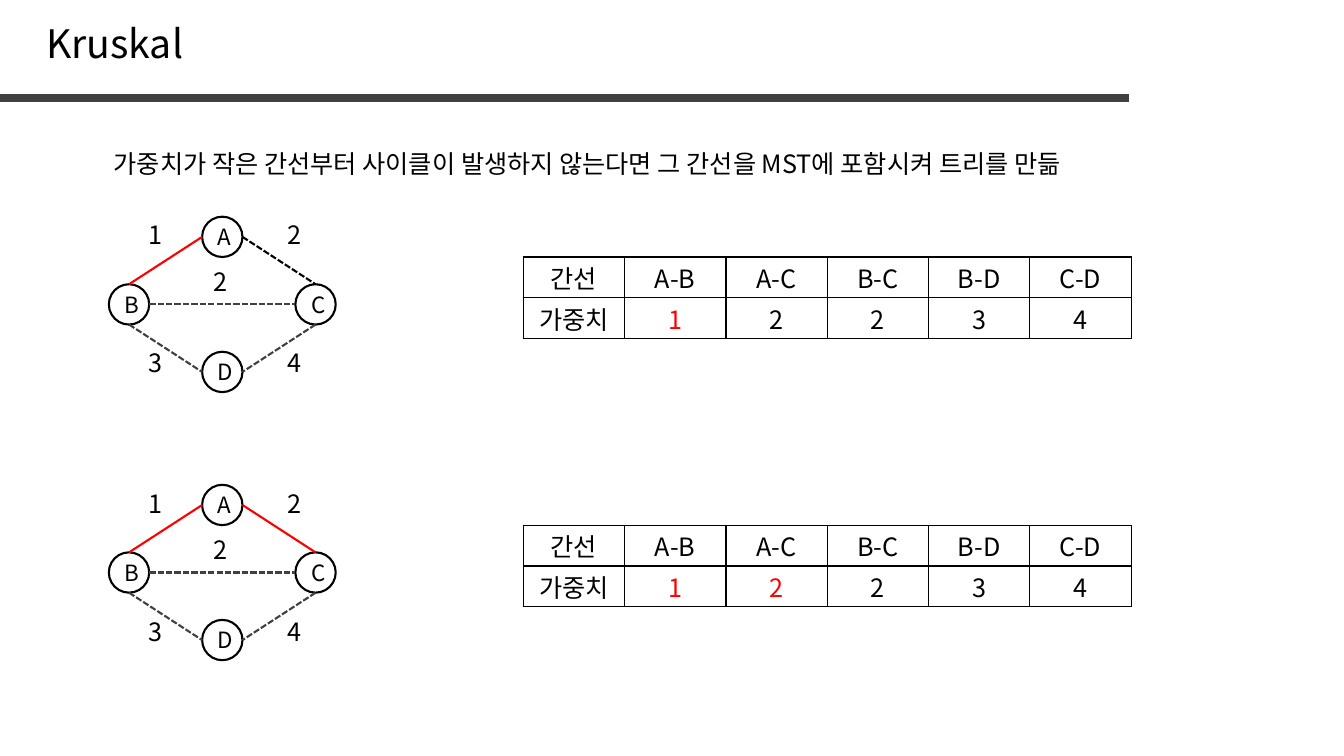
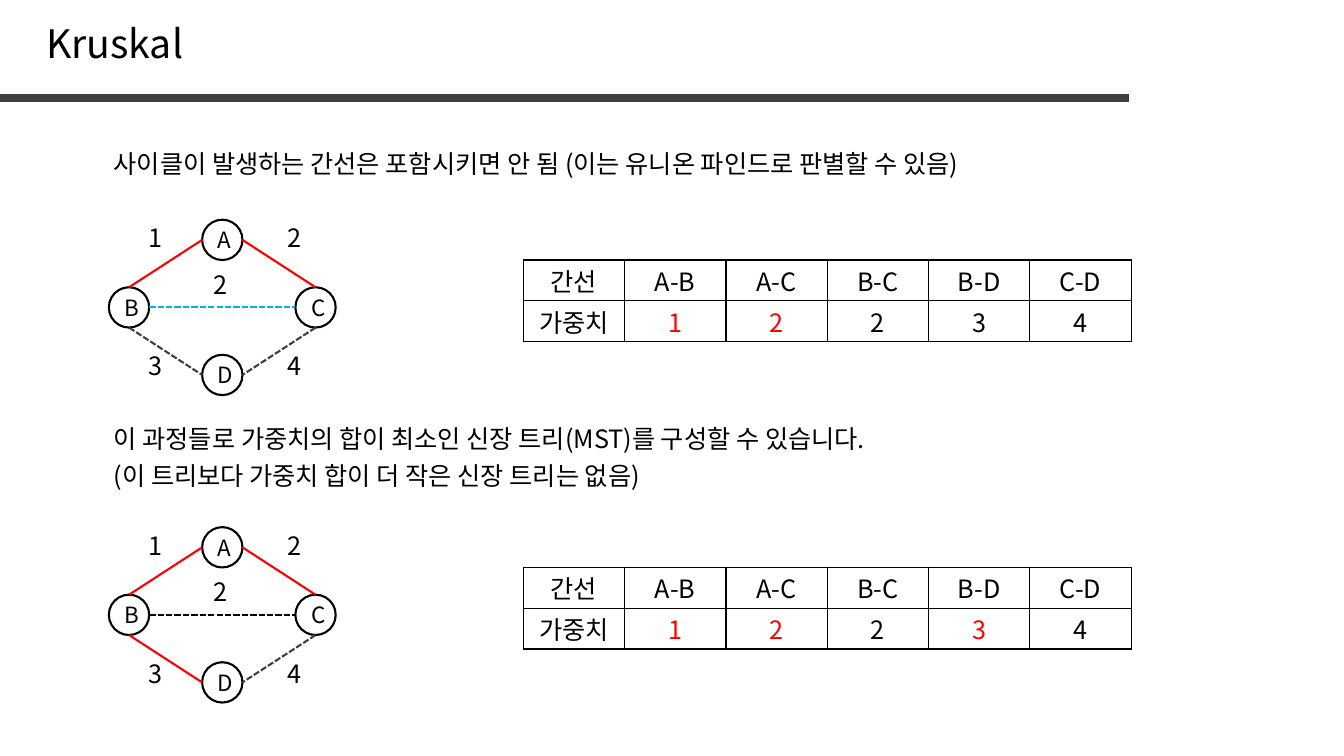
from lxml import etree
from pptx import Presentation
from pptx.dml.color import RGBColor
from pptx.enum.dml import MSO_LINE
from pptx.enum.shapes import MSO_CONNECTOR, MSO_SHAPE
from pptx.enum.text import MSO_ANCHOR, PP_ALIGN
from pptx.oxml.ns import qn
from pptx.util import Inches, Pt

STRAIGHT = MSO_CONNECTOR.STRAIGHT
ELLIPSE = MSO_SHAPE.OVAL
DASH = MSO_LINE.SQUARE_DOT
LEFT, CENTER = PP_ALIGN.LEFT, PP_ALIGN.CENTER
MIDDLE = MSO_ANCHOR.MIDDLE

FONT = "Noto Sans CJK KR"
BLACK, GRAY, RED, BLUE = "000000", "404040", "FF0000", "00B0F0"

WIDTH, HEIGHT = 13.33, 7.5
BAND_WIDTH, BAND_TOP = 0.84 * WIDTH, 0.97
CAPTION_LEFT = 1.03
GRAPH_LEFT, TABLE_LEFT, TABLE_DROP = 1.08, 5.19, 0.4
NODE, STEP_X, STEP_Y = 0.4, 0.925, 0.67
COLUMN, ROW = 1.005, 0.405
LABEL_WIDTH, LABEL_HEIGHT = 0.53, 0.4

NODES = {"A": (1, 0), "B": (0, 1), "C": (2, 1), "D": (1, 2)}
SIDES = {"top": (0.5, 0), "left": (0, 0.5), "bottom": (0.5, 1), "right": (1, 0.5)}
EDGES = [
    ("A", "left", "B", "top", 1, (0.2, 0.03)),
    ("A", "right", "C", "top", 2, (1.58, 0.03)),
    ("B", "right", "C", "left", 2, (0.84, 0.49)),
    ("B", "bottom", "D", "left", 3, (0.2, 1.3)),
    ("C", "bottom", "D", "right", 4, (1.58, 1.3)),
]

SLIDES = [
    {
        "captions": [
            (1.47, "가중치가 작은 간선부터 사이클이 발생하지 않는다면 그 간선을 MST에 포함시켜 트리를 만듦"),
        ],
        "steps": [
            (2.15, [RED, BLACK, GRAY, GRAY, GRAY]),
            (4.81, [RED, RED, GRAY, GRAY, GRAY]),
        ],
    },
    {
        "captions": [
            (1.47, "사이클이 발생하는 간선은 포함시키면 안 됨 (이는 유니온 파인드로 판별할 수 있음)"),
            (4.2, "이 과정들로 가중치의 합이 최소인 신장 트리(MST)를 구성할 수 있습니다."),
            (4.57, "(이 트리보다 가중치 합이 더 작은 신장 트리는 없음)"),
        ],
        "steps": [
            (2.18, [RED, RED, BLUE, GRAY, GRAY]),
            (5.23, [RED, RED, BLACK, RED, GRAY]),
        ],
    },
]


def color(value):
    """Turn a hex string into a colour."""
    return RGBColor.from_string(value)


def write(frame, text, size=18, fill=BLACK, align=LEFT):
    """Write formatted text into a text frame."""
    paragraph = frame.paragraphs[0]
    paragraph.alignment = align
    run = paragraph.add_run()
    run.text = text
    run.font.name = FONT
    run.font.size = Pt(size)
    run.font.color.rgb = color(fill)
    etree.SubElement(run.font._element, qn("a:ea"), typeface=FONT)


def add_text(slide, box, text, wrap=True, **style):
    """Add a text box without vertical margins."""
    frame = slide.shapes.add_textbox(*map(Inches, box)).text_frame
    frame.word_wrap = wrap
    frame.margin_top = frame.margin_bottom = 0
    write(frame, text, **style)


def add_line(slide, start, end, stroke, width=1.5, dashed=False):
    """Draw a straight line without a shadow."""
    line = slide.shapes.add_connector(STRAIGHT, *map(Inches, (*start, *end)))
    line.line.color.rgb = color(stroke)
    line.line.width = Pt(width)
    if dashed:
        line.line.dash_style = DASH
    etree.SubElement(line._element.spPr, qn("a:effectLst"))


def add_header(slide):
    """Place the title and the rule below it."""
    add_line(slide, (0, BAND_TOP), (BAND_WIDTH, BAND_TOP), GRAY, width=6)
    add_text(slide, (0.36, 0.19, 1.59, 0.57), "Kruskal", wrap=False, size=28)


def add_graph(slide, left, top, colors):
    """Draw the weighted graph, with unchosen edges dashed."""
    def anchor(name, side):
        """Locate the middle of one side of a node."""
        (column, row), (across, down) = NODES[name], SIDES[side]
        return left + column * STEP_X + across * NODE, top + row * STEP_Y + down * NODE

    for name, (column, row) in NODES.items():
        box = (left + column * STEP_X, top + row * STEP_Y, NODE, NODE)
        node = slide.shapes.add_shape(ELLIPSE, *map(Inches, box))
        node.shadow.inherit = False
        node.fill.background()
        node.line.color.rgb = color(BLACK)
        node.line.width = Pt(1.5)
        node.text_frame.vertical_anchor = MIDDLE
        write(node.text_frame, name, size=16, align=CENTER)
    for (first, exit_side, second, entry_side, weight, (x, y)), stroke in zip(EDGES, colors):
        add_line(slide, anchor(first, exit_side), anchor(second, entry_side),
                 stroke, dashed=stroke != RED)
        add_text(slide, (left + x, top + y, LABEL_WIDTH, LABEL_HEIGHT), str(weight), align=CENTER)


def add_borders(cell):
    """Give a cell thin black borders and no fill."""
    properties = cell._tc.get_or_add_tcPr()
    for edge in ("a:lnL", "a:lnR", "a:lnT", "a:lnB"):
        border = etree.SubElement(properties, qn(edge), w=str(Pt(1)))
        solid = etree.SubElement(border, qn("a:solidFill"))
        etree.SubElement(solid, qn("a:srgbClr"), val=BLACK)
    cell.fill.background()


def add_weights(slide, left, top, colors):
    """Add the table of edge weights, with chosen edges in red."""
    columns = [("간선", "가중치", BLACK)]
    for (first, _, second, _, weight, _), stroke in zip(EDGES, colors):
        columns.append((f"{first}-{second}", str(weight), RED if stroke == RED else BLACK))
    box = (left, top, COLUMN * len(columns), ROW * 2)
    table = slide.shapes.add_table(2, len(columns), *map(Inches, box)).table
    table.first_row = table.horz_banding = False
    for index, (heading, weight, fill) in enumerate(columns):
        for row, (text, text_fill) in enumerate([(heading, BLACK), (weight, fill)]):
            cell = table.cell(row, index)
            cell.margin_top = cell.margin_bottom = Inches(0.02)
            write(cell.text_frame, text, fill=text_fill, align=CENTER)
            add_borders(cell)


def build_slide(presentation, captions, steps):
    """Build one slide from its captions and algorithm steps."""
    slide = presentation.slides.add_slide(presentation.slide_layouts[6])
    add_header(slide)
    for top, text in captions:
        add_text(slide, (CAPTION_LEFT, top, BAND_WIDTH, LABEL_HEIGHT), text)
    for top, colors in steps:
        add_graph(slide, GRAPH_LEFT, top, colors)
        add_weights(slide, TABLE_LEFT, top + TABLE_DROP, colors)


presentation = Presentation()
presentation.slide_width = Inches(WIDTH)
presentation.slide_height = Inches(HEIGHT)
for content in SLIDES:
    build_slide(presentation, **content)
presentation.save("out.pptx")
